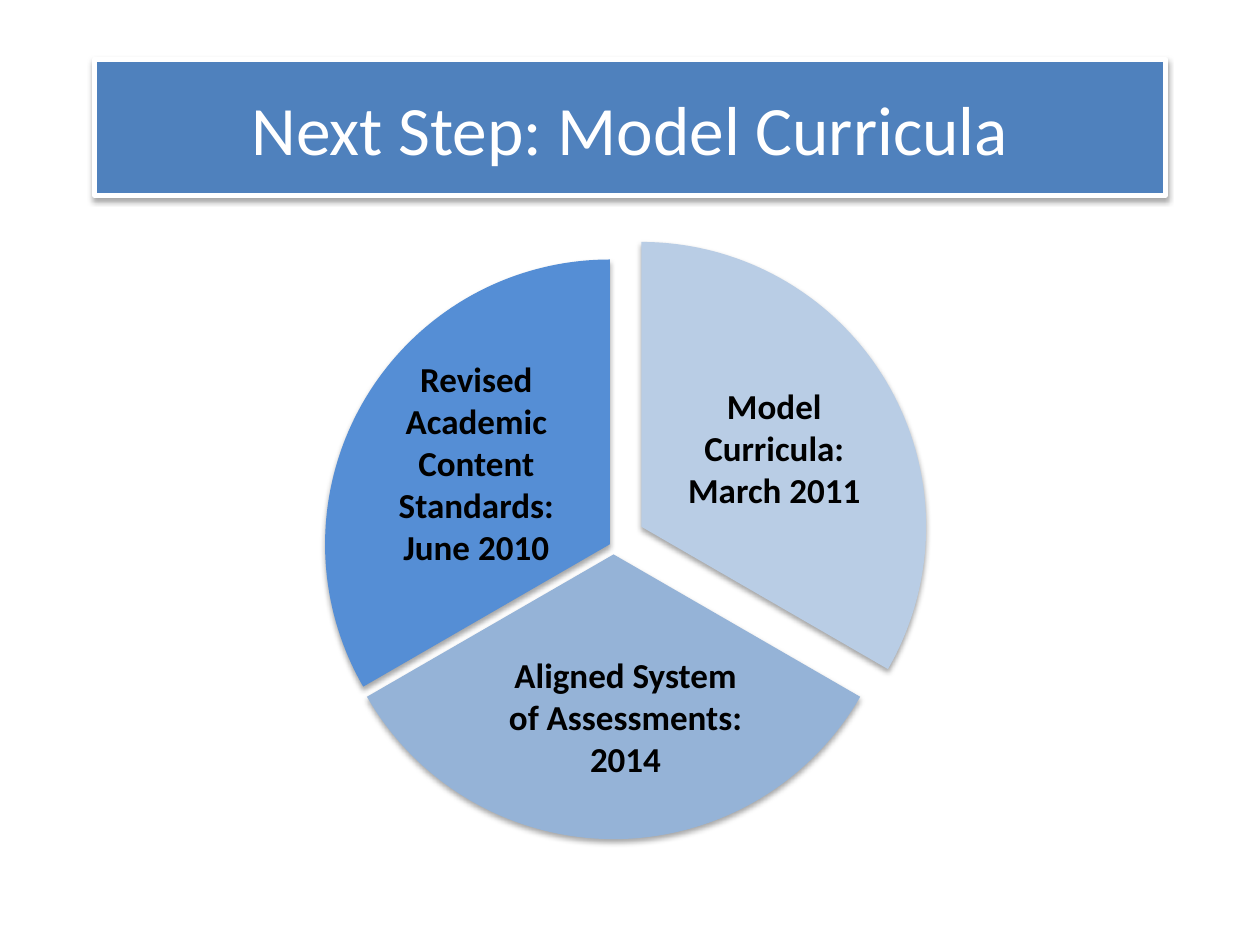
from lxml import etree
from pptx import Presentation
from pptx.dml.color import RGBColor
from pptx.enum.shapes import MSO_SHAPE
from pptx.enum.text import MSO_ANCHOR, PP_ALIGN
from pptx.oxml.ns import qn
from pptx.util import Inches, Pt

COLORS = {
    "title": "4F81BD", "standards": "558ED5", "curricula": "B9CDE5",
    "assessments": "95B3D7", "white": "FFFFFF", "black": "000000",
}


def add_text(tf, lines, size=20, color="black", bold=True, wrap=True,
             anchor=MSO_ANCHOR.TOP):
    tf.word_wrap = wrap
    tf.vertical_anchor = anchor
    for i, line in enumerate(lines):
        p = tf.paragraphs[0] if i == 0 else tf.add_paragraph()
        p.alignment = PP_ALIGN.CENTER
        r = p.add_run()
        r.text = line
        r.font.name = "Calibri"
        r.font.size = Pt(size)
        r.font.bold = bold
        r.font.color.rgb = RGBColor.from_string(COLORS[color])


def add_shadowed(s, kind, box, color):
    sp = s.shapes.add_shape(kind, *map(Inches, box))
    sp.fill.solid()
    sp.fill.fore_color.rgb = RGBColor.from_string(COLORS[color])
    sp.line.fill.background()
    # Soft shadow straight below the shape
    sp.shadow.inherit = False
    effects = sp._element.spPr.find(qn("a:effectLst"))
    shadow = etree.SubElement(effects, qn("a:outerShdw"), blurRad=str(Pt(3.1)),
                              dist=str(Pt(1.8)), dir="5400000", rotWithShape="0")
    clr = etree.SubElement(shadow, qn("a:srgbClr"), val=COLORS["black"])
    etree.SubElement(clr, qn("a:alpha"), val="35000")
    return sp


prs = Presentation()
prs.slide_width, prs.slide_height = Inches(10), Inches(7.5)
s = prs.slides.add_slide(prs.slide_layouts[6])

# Three pie slices, each a third of a circle
DIAMETER = 4.52
THIRD = 72  # 120 degrees in adjustment units
slices = [
    ("standards", 2.58, 2.06, 90),
    ("curricula", 2.83, 1.92, 162),
    ("assessments", 2.61, 2.14, 18),
]
for color, left, top, start in slices:
    sp = add_shadowed(s, MSO_SHAPE.PIE, (left, top, DIAMETER, DIAMETER), color)
    sp.adjustments[0] = start
    sp.adjustments[1] = (start + THIRD) % (3 * THIRD)

# Slice labels
labels = [
    ((2.99, 2.79, 1.58, 1.78), True,
     ["Revised Academic Content Standards: June 2010"]),
    ((5.19, 3, 1.91, 1.11), True, ["Model", "Curricula:", "March 2011"]),
    ((3.93, 5.14, 2.07, 1.11), False,
     ["Aligned System", "of Assessments:", "2014"]),
]
for box, wrap, lines in labels:
    tb = s.shapes.add_textbox(*map(Inches, box))
    add_text(tb.text_frame, lines, wrap=wrap)

# Title banner
banner = add_shadowed(s, MSO_SHAPE.RECTANGLE, (0.75, 0.47, 8.5, 1.08), "title")
banner.line.color.rgb = RGBColor.from_string(COLORS["white"])
banner.line.width = Pt(3)
add_text(banner.text_frame, ["Next Step: Model Curricula"], size=39.6,
         color="white", bold=False, anchor=MSO_ANCHOR.MIDDLE)

prs.save("out.pptx")
